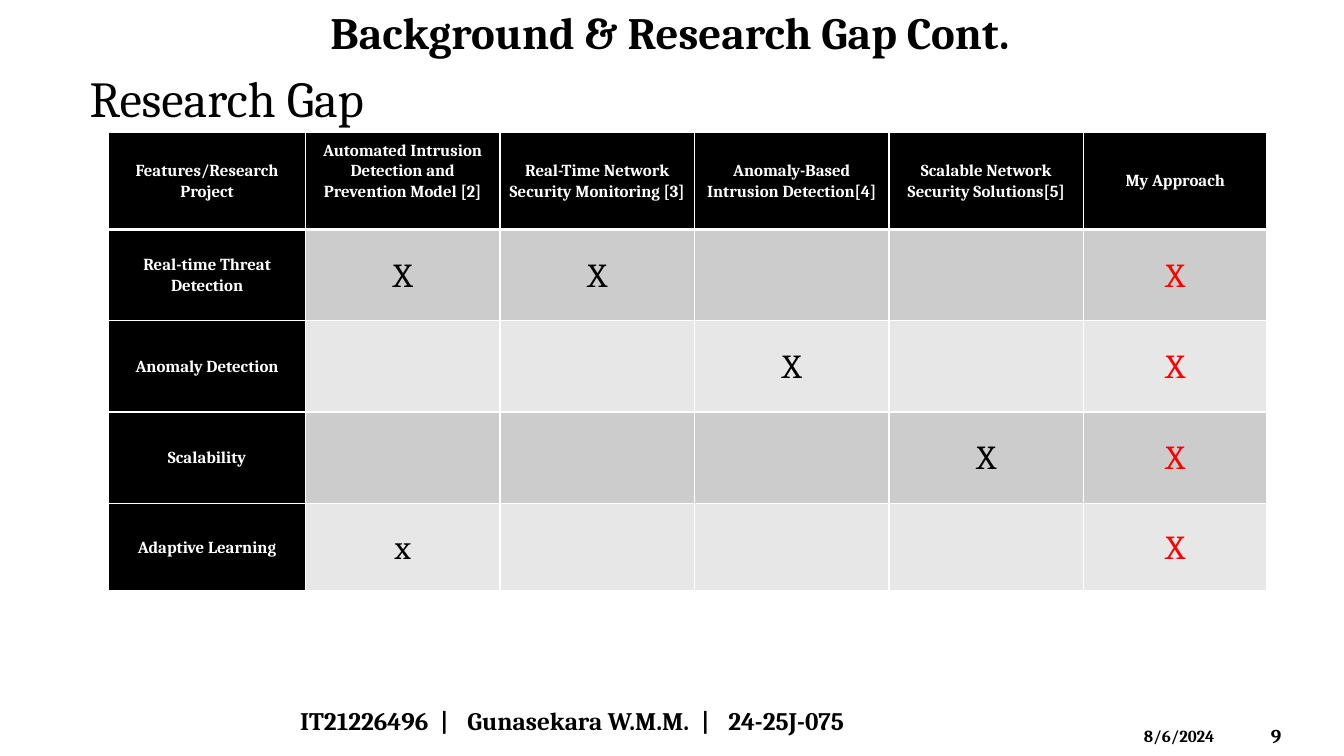
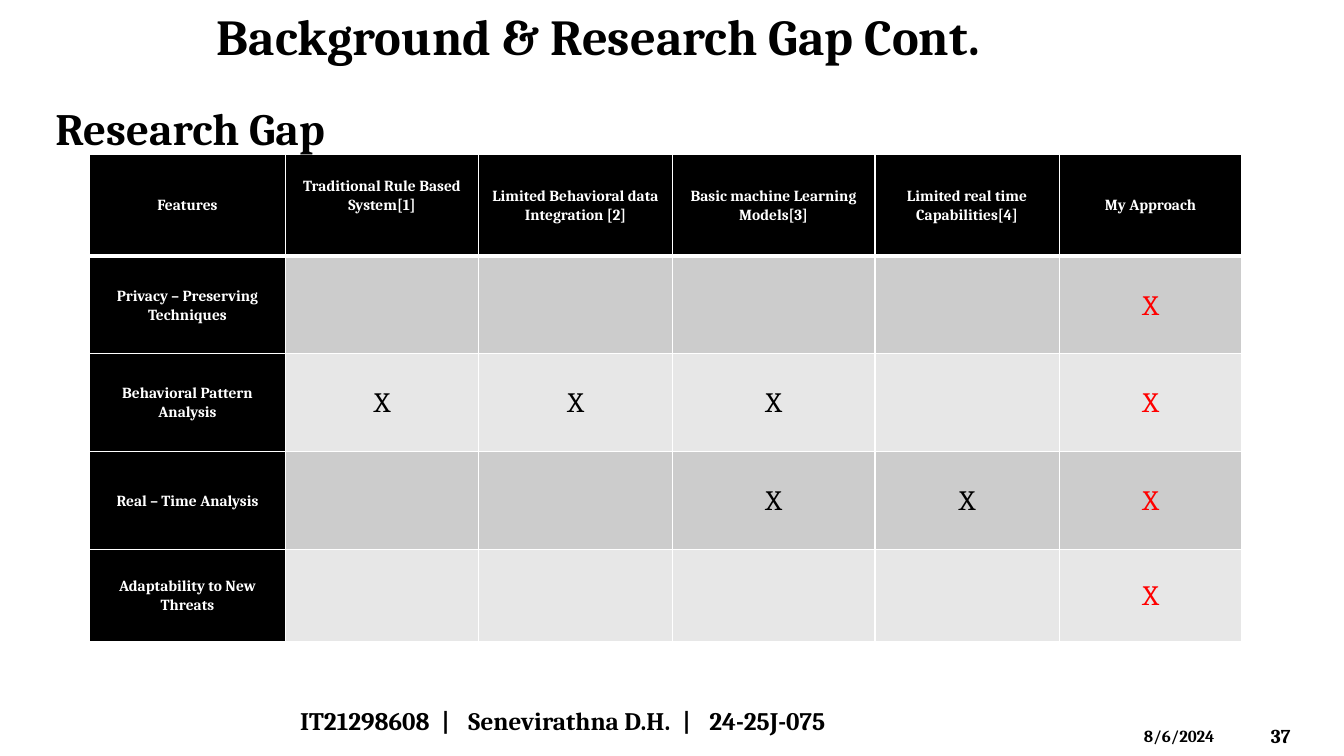
"""Build two research-gap slides, each with a comparison table."""
import itertools

import pptx
import pptx.dml.color
import pptx.enum.text
import pptx.oxml
import pptx.oxml.ns
import pptx.util

WIDTH, HEIGHT = pptx.util.Inches(13.333), pptx.util.Inches(7.5)
BLACK, WHITE, RED = "000000", "FFFFFF", "FF0000"
BANDS = ("CCCCCC", "E7E7E7")
FONT = "Cambria"
TITLE = "Background & Research Gap Cont."
HEADING = "Research Gap"
DATE, PROJECT = "8/6/2024", "24-25J-075"
FOOTER_PLACE = (21.6, 92.67, 55.88, 5.33)
DATE_PLACE = (84.38, 95.33, 8.78, 4)
NUMBER_PLACE = (93.83, 94.67, 5.55, 5.33)
SEPARATOR_SPACING = "470"
LIFTED_COLUMN = 1
TOP = pptx.enum.text.MSO_ANCHOR.TOP
MIDDLE = pptx.enum.text.MSO_ANCHOR.MIDDLE
LEFT = pptx.enum.text.PP_ALIGN.LEFT
CENTER = pptx.enum.text.PP_ALIGN.CENTER

SLIDES = (
    {
        "number": "9",
        "author": ("IT21226496", "Gunasekara W.M.M."),
        "title": {"place": (23.85, 0, 54.83, 11.07), "size": 32},
        "heading": {"place": (4.65, 8.53, 24.45, 8.8), "size": 36,
                    "bold": False, "align": CENTER},
        "table": {
            "place": (8.1, 17.47, 86.18, 60.67),
            "columns": (1.95, 1.93, 1.93, 1.93, 1.93, 1.82),
            "rows": (0.97, 0.91, 0.91, 0.91, 0.87),
            "label_size": 12, "mark_size": 24,
            "header": ("Features/Research Project",
                       "Automated Intrusion Detection and Prevention Model [2]",
                       "Real-Time Network Security Monitoring [3]",
                       "Anomaly-Based Intrusion Detection[4]",
                       "Scalable Network Security Solutions[5]",
                       "My Approach"),
            "features": (("Real-time Threat Detection", "XX--X"),
                         ("Anomaly Detection", "--X-X"),
                         ("Scalability", "---XX"),
                         ("Adaptive Learning", "x---X")),
        },
    },
    {
        "number": "37",
        "author": ("IT21298608", "Senevirathna D.H."),
        "title": {"place": (15.38, 0, 75.98, 13.2), "size": 36},
        "heading": {"place": (3.38, 12.93, 39.75, 8), "size": 32},
        "table": {
            "place": (6.68, 20.4, 85.73, 64.53),
            "columns": (1.94, 1.92, 1.92, 2.01, 1.83, 1.81),
            "rows": (1.01, 0.97, 0.97, 0.97, 0.92),
            "label_size": 11, "mark_size": 20,
            "header": ("Features",
                       "Traditional Rule Based System[1]",
                       "Limited Behavioral data Integration [2]",
                       "Basic machine Learning Models[3]",
                       "Limited real time Capabilities[4]",
                       "My Approach"),
            "features": (("Privacy – Preserving Techniques", "----X"),
                         ("Behavioral Pattern Analysis", "XXX-X"),
                         ("Real – Time Analysis", "--XXX"),
                         ("Adaptability to New Threats", "----X")),
        },
    },
)


def color(code):
    """Turn a hex string into a colour."""
    return pptx.dml.color.RGBColor.from_string(code)


def area(place):
    """Turn percentages of the slide into left, top, width and height."""
    return [int(side * share / 100)
            for side, share in zip((WIDTH, HEIGHT) * 2, place)]


def assign(target, values):
    """Set each named attribute of the target."""
    for name, value in values.items():
        setattr(target, name, value)


def add_span(para, text, size, bold=True, ink=BLACK):
    """Add one formatted run to a paragraph."""
    span = para.add_run()
    span.text = text
    assign(span.font, {"name": FONT, "size": pptx.util.Pt(size), "bold": bold})
    span.font.color.rgb = color(ink)
    return span


def add_box(page, place, anchor=MIDDLE, align=LEFT):
    """Add a wrapping text box and return its paragraph."""
    frame = page.shapes.add_textbox(*area(place)).text_frame
    assign(frame, {"word_wrap": True, "vertical_anchor": anchor})
    para = frame.paragraphs[0]
    para.alignment = align
    return para


def add_text(page, text, place, size, bold=True, anchor=MIDDLE, align=LEFT):
    """Add a text box that holds a single run."""
    add_span(add_box(page, place, anchor, align), text, size, bold)


def add_footer(page, author, number):
    """Add the author line, the date and the page number."""
    para = add_box(page, FOOTER_PLACE)
    for index, part in enumerate((*author, PROJECT)):
        if index:
            separator = add_span(para, " | ", 18)
            separator._r.get_or_add_rPr().set("spc", SEPARATOR_SPACING)
        add_span(para, part, 18)
    add_text(page, DATE, DATE_PLACE, 12, anchor=TOP)
    add_text(page, number, NUMBER_PLACE, 14)


def add_borders(cell, row):
    """Draw white cell borders, thicker beneath the header row."""
    thick = {(0, "B"), (1, "T")}
    for side in "LRTB":
        width = pptx.util.Pt(3 if (row, side) in thick else 1)
        cell._tc.get_or_add_tcPr().append(pptx.oxml.parse_xml(
            f'<a:ln{side} {pptx.oxml.ns.nsdecls("a")} w="{width}"><a:solidFill>'
            f'<a:srgbClr val="{WHITE}"/></a:solidFill></a:ln{side}>'))


def fill_cell(cell, row, column, text, label_size, mark_size, last):
    """Style one table cell and write its label or mark."""
    is_label = row == 0 or column == 0
    lift = 0.2 if (row, column) == (0, LIFTED_COLUMN) else 0
    add_borders(cell, row)
    cell.fill.solid()
    cell.fill.fore_color.rgb = color(BLACK if is_label else BANDS[(row - 1) % 2])
    side = pptx.util.Inches(0.07)
    assign(cell, {"margin_left": side, "margin_right": side, "margin_top": 0,
                  "margin_bottom": pptx.util.Inches(lift),
                  "vertical_anchor": MIDDLE})
    para = cell.text_frame.paragraphs[0]
    assign(para, {"alignment": CENTER, "line_spacing": 1.07})
    if is_label:
        add_span(para, text, label_size, ink=WHITE)
    elif text != "-":
        add_span(para, text, mark_size, False, RED if column == last else BLACK)


def add_comparison(page, place, columns, rows, label_size, mark_size,
                   header, features):
    """Add the table that compares features across projects."""
    left, top, width, height = area(place)
    table = page.shapes.add_table(len(rows), len(columns),
                                  left, top, width, height).table
    for column, weight in zip(table.columns, columns):
        column.width = int(width * weight / sum(columns))
    for row, weight in zip(table.rows, rows):
        row.height = int(height * weight / sum(rows))
    content = [header] + [(label, *marks) for label, marks in features]
    for row, column in itertools.product(range(len(rows)), range(len(columns))):
        fill_cell(table.cell(row, column), row, column, content[row][column],
                  label_size, mark_size, len(columns) - 1)


def main():
    """Build and save the deck."""
    deck = pptx.Presentation()
    assign(deck, {"slide_width": WIDTH, "slide_height": HEIGHT})
    for content in SLIDES:
        page = deck.slides.add_slide(deck.slide_layouts[6])
        add_text(page, TITLE, anchor=TOP, **content["title"])
        add_footer(page, content["author"], content["number"])
        add_comparison(page, **content["table"])
        add_text(page, HEADING, **content["heading"])
    deck.save("out.pptx")


if __name__ == "__main__":
    main()
